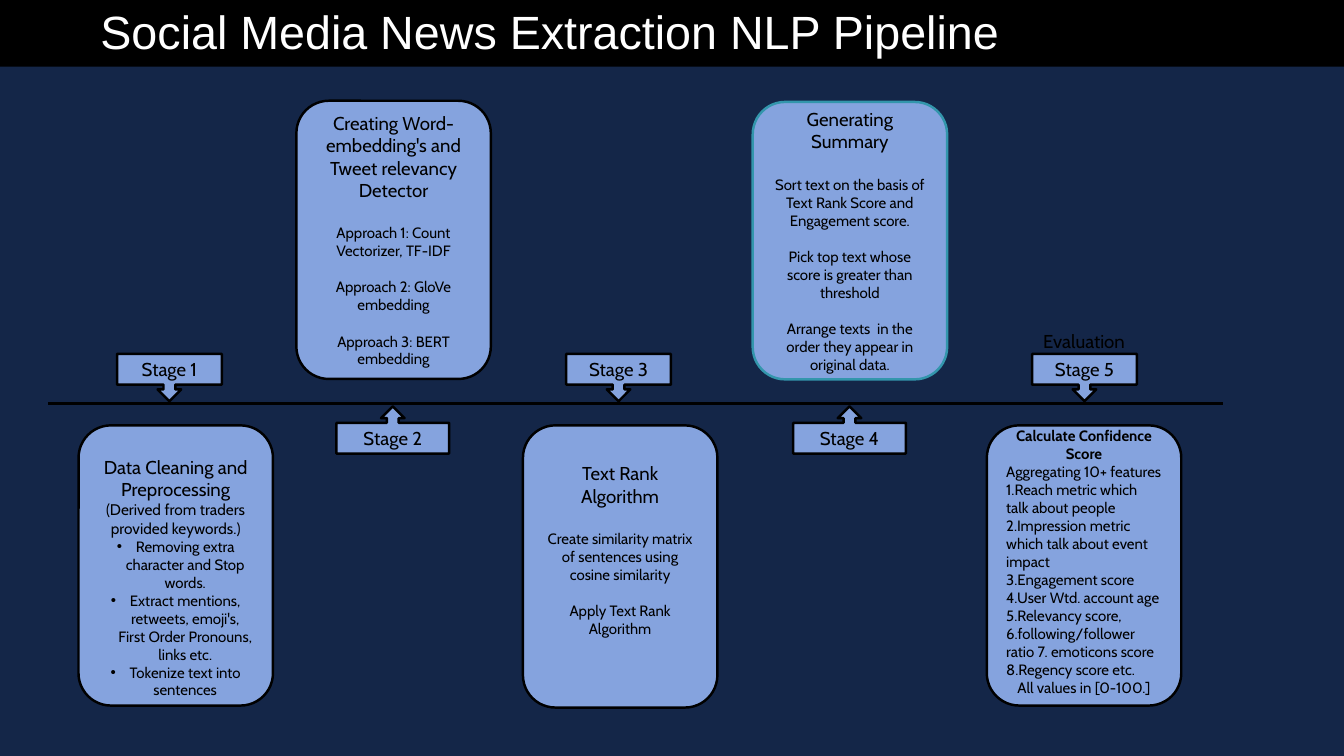
from lxml import etree
from pptx import Presentation
from pptx import util as u
from pptx.dml.color import RGBColor
from pptx.enum import shapes, text
from pptx.oxml import ns

NAVY = RGBColor(0x14, 0x26, 0x48)
BLUE = RGBColor(0x85, 0xA3, 0xDE)
TEAL = RGBColor(0x33, 0x96, 0xAC)
BLACK = RGBColor(0, 0, 0)
WHITE = RGBColor(0xFF, 0xFF, 0xFF)

HEAD, BODY = 13.3, 10.7
CARD_W, AXIS_Y = 4.9, 10.16

# Each line: text, size, space before in points, style
STAGES = [
    dict(card=(1.98, 10.72, 7.06), tag_x=2.95, shift=0.3, line=BLACK, lines=[
        ("Data Cleaning and Preprocessing", HEAD, 0, ""),
        ("(Derived from traders provided keywords.)", 11, 0, ""),
        ("Removing extra character and Stop words.", BODY, 0, "bullet"),
        ("Extract mentions, retweets, emoji's, First Order Pronouns, links etc.", BODY, 0, "bullet"),
        ("Tokenize text into sentences", BODY, 0, "bullet"),
    ]),
    dict(card=(7.47, 2.54, 7.01), tag_x=8.48, shift=0, line=BLACK, lines=[
        ("Creating Word- embedding's and Tweet relevancy Detector", HEAD, 0, ""),
        ("Approach 1: Count Vectorizer, TF-IDF", BODY, 16.2, ""),
        ("Approach 2: GloVe embedding", BODY, 13, ""),
        ("Approach 3: BERT embedding", BODY, 13, ""),
    ]),
    dict(card=(13.18, 10.72, 7.11), tag_x=14.27, shift=-0.42, line=BLACK, lines=[
        ("Text Rank Algorithm", HEAD, 0, ""),
        ("Create similarity matrix of sentences using cosine similarity", BODY, 16.2, ""),
        ("Apply Text Rank Algorithm", BODY, 13, ""),
    ]),
    dict(card=(18.97, 2.57, 6.99), tag_x=19.99, shift=0, line=TEAL, lines=[
        ("Generating Summary", HEAD, 0, ""),
        ("Sort text on the basis of Text Rank Score and Engagement score.", BODY, 16.2, ""),
        ("Pick top text whose score is greater than threshold", BODY, 13, ""),
        ("Arrange texts  in the order they appear in original data.", BODY, 13, ""),
    ]),
    dict(card=(24.87, 10.72, 7.06), tag_x=26.01, shift=-0.1, line=BLACK, lines=[
        ("Calculate Confidence Score", BODY, 0, "bold"),
        ("Aggregating 10+ features 1.Reach metric which talk about people "
         "2.Impression metric which talk about event impact", BODY, 0, "left"),
        ("3.Engagement score", BODY, 0, "left"),
        ("4.User Wtd. account age 5.Relevancy score, "
         "6.following/follower ratio 7. emoticons score", BODY, 0, "left"),
        ("8.Regency score etc.", BODY, 0, "left"),
        ("All values in [0-100.]", BODY, 0, ""),
    ]),
]


def add_bullet(p):
    pPr = p._p.get_or_add_pPr()
    pPr.set("marL", str(u.Cm(0.48)))
    pPr.set("indent", str(-u.Cm(0.48)))
    etree.SubElement(pPr, ns.qn("a:buFont")).set("typeface", "Arial")
    etree.SubElement(pPr, ns.qn("a:buChar")).set("char", "•")


def write_lines(tf, lines):
    tf.word_wrap = True
    tf.text = "\n".join(line[0] for line in lines)
    for p, (_, size, before, style) in zip(tf.paragraphs, lines):
        p.alignment = text.PP_ALIGN.LEFT if style == "left" else text.PP_ALIGN.CENTER
        p.space_before = u.Pt(before)
        if style == "bullet":
            add_bullet(p)
        for r in p.runs:
            r.font.name = "Cabin"
            r.font.size = u.Pt(size)
            r.font.bold = style == "bold"
            r.font.color.rgb = BLACK


def add_box(s, kind, x, y, w, h, fill=BLUE, line=BLACK):
    sp = s.shapes.add_shape(kind, u.Cm(x), u.Cm(y), u.Cm(w), u.Cm(h))
    sp.shadow.inherit = False
    sp.fill.solid()
    sp.fill.fore_color.rgb = fill
    sp.line.color.rgb = line
    sp.line.width = u.Pt(1.75)
    return sp


def add_card(s, stage):
    x, y, h = stage["card"]
    sp = add_box(s, shapes.MSO_SHAPE.ROUNDED_RECTANGLE, x, y, CARD_W, h, line=stage["line"])
    tf = sp.text_frame
    tf.vertical_anchor = text.MSO_ANCHOR.MIDDLE
    tf.margin_top = u.Cm(0.13 + 2 * max(stage["shift"], 0))
    tf.margin_bottom = u.Cm(0.13 + 2 * max(-stage["shift"], 0))
    write_lines(tf, stage["lines"])


def add_tag(s, number, x):
    if number % 2:
        kind, y, w = shapes.MSO_SHAPE.DOWN_ARROW_CALLOUT, 8.92, 2.64
    else:
        kind, y, w = shapes.MSO_SHAPE.UP_ARROW_CALLOUT, 10.24, 2.84
    sp = add_box(s, kind, x, y, w, 1.19)
    sp.text_frame.vertical_anchor = text.MSO_ANCHOR.MIDDLE
    write_lines(sp.text_frame, [(f"Stage {number}", HEAD, 0, "")])


def add_axis(s):
    cx = s.shapes.add_connector(shapes.MSO_CONNECTOR.STRAIGHT, u.Cm(1.22), u.Cm(AXIS_Y),
                                u.Cm(30.81), u.Cm(AXIS_Y))
    cx.line.color.rgb = BLACK
    cx.line.width = u.Pt(2.25)
    etree.SubElement(cx._element.spPr, ns.qn("a:effectLst"))


def add_label(s, label, x, y):
    tb = s.shapes.add_textbox(u.Cm(x), u.Cm(y), u.Cm(CARD_W), u.Cm(0.82))
    write_lines(tb.text_frame, [(label, HEAD, 0, "")])


def add_header(s, heading):
    bar = add_box(s, shapes.MSO_SHAPE.RECTANGLE, 0, 0, 33.87, 1.68, fill=BLACK)
    bar.line.fill.background()
    title = s.shapes.title
    bar._element.addnext(title._element)
    title.left, title.top, title.width, title.height = u.Cm(0.33), u.Cm(-0.25), u.Cm(27.08), u.Cm(1.85)
    tf = title.text_frame
    tf.text = heading
    tf.word_wrap = True
    tf.auto_size = text.MSO_AUTO_SIZE.NONE
    tf.vertical_anchor = text.MSO_ANCHOR.TOP
    tf.margin_left = tf.margin_right = tf.margin_top = tf.margin_bottom = u.Cm(0.33)
    p = tf.paragraphs[0]
    p.alignment = text.PP_ALIGN.CENTER
    r = p.runs[0]
    r.font.name = "Arial"
    r.font.size = u.Pt(33.3)
    r.font.color.rgb = WHITE


def main():
    prs = Presentation()
    prs.slide_width, prs.slide_height = u.Cm(33.87), u.Cm(19.05)
    s = prs.slides.add_slide(prs.slide_layouts.get_by_name("Title Only"))
    s.background.fill.solid()
    s.background.fill.fore_color.rgb = NAVY
    add_header(s, "Social Media News Extraction NLP Pipeline")
    add_axis(s)
    for number, stage in enumerate(STAGES, 1):
        add_card(s, stage)
        add_tag(s, number, stage["tag_x"])
    add_label(s, "Evaluation", 24.87, 8.18)
    prs.save("out.pptx")


if __name__ == "__main__":
    main()
